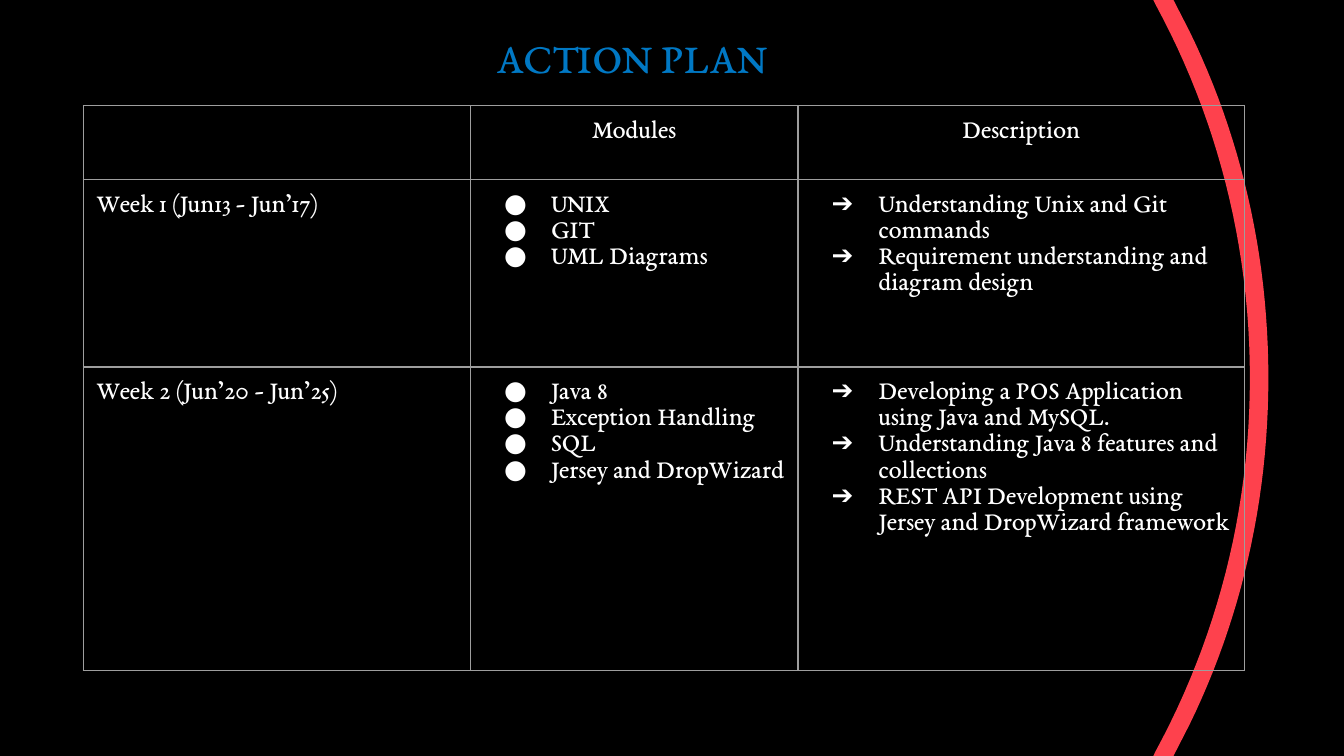
from dataclasses import dataclass
from typing import Optional

from lxml.etree import SubElement
from pptx import Presentation
from pptx.dml.color import RGBColor as RGB
from pptx.enum.text import PP_ALIGN as Align
from pptx.oxml.ns import qn
from pptx.util import Emu, Pt

SCALE = 5715


def px(n: float) -> Emu:
    return Emu(round(n * SCALE))


@dataclass(frozen=True)
class Theme:
    font: str = "EB Garamond"
    background: str = "000000"
    arc: str = "FE414D"
    title: str = "0078C4"
    body: str = "FFFFFF"
    border: str = "9E9E9E"
    title_size: int = 23
    body_size: int = 14
    border_width: float = 0.75


@dataclass(frozen=True)
class Cell:
    lines: tuple[str, ...] = ()
    align: Align = Align.LEFT
    bullet: Optional[str] = None


THEME = Theme()
WIDTH, HEIGHT = 1600, 900
MARGIN = 16
COLUMNS = (461, 390, 532)
ROWS = (88, 223, 361)
OUTER = ((1416, 37), (1477, 162), (1510, 302), (1510, 450))
INNER = ((1376, 6), (1448, 139), (1488, 290), (1488, 450))
GRID = (
    (Cell(), Cell(("Modules",), Align.CENTER), Cell(("Description",), Align.CENTER)),
    (
        Cell(("Week 1 (Jun13 - Jun’17)",)),
        Cell(("UNIX", "GIT", "UML Diagrams"), bullet="●"),
        Cell(("Understanding Unix and Git commands",
              "Requirement understanding and diagram design"), bullet="➔"),
    ),
    (
        Cell(("Week 2 (Jun’20 - Jun’25)",)),
        Cell(("Java 8", "Exception Handling", "SQL", "Jersey and DropWizard"), bullet="●"),
        Cell(("Developing a POS Application using Java and MySQL.",
              "Understanding Java 8 features and collections",
              "REST API Development using Jersey and DropWizard framework"), bullet="➔"),
    ),
)


def add_bullet(p, char: str, size: int, color: str) -> None:
    pPr = p._p.get_or_add_pPr()
    pPr.set("marL", str(px(80)))
    pPr.set("indent", str(px(-56)))
    SubElement(SubElement(pPr, qn("a:buClr")), qn("a:srgbClr"), val=color)
    SubElement(pPr, qn("a:buSzPts"), val=str(size * 100))
    SubElement(pPr, qn("a:buFont"), typeface=THEME.font)
    SubElement(pPr, qn("a:buChar"), char=char)


def write(tf, lines: tuple[str, ...], *, size: int, color: str,
          align: Align = Align.LEFT, bullet: Optional[str] = None) -> None:
    tf.word_wrap = True
    for i, line in enumerate(lines):
        p = tf.add_paragraph() if i else tf.paragraphs[0]
        p.alignment = align
        if bullet:
            add_bullet(p, bullet, size, color)
        r = p.add_run()
        r.text = line
        r.font.name = THEME.font
        r.font.size = Pt(size)
        r.font.color.rgb = RGB.from_string(color)


def bezier(points: tuple[tuple[int, int], ...], steps: int = 24) -> list[tuple[float, float]]:
    a, b, c, d = points
    ts = [i / steps for i in range(steps + 1)]
    return [
        tuple((1 - t) ** 3 * a[k] + 3 * (1 - t) ** 2 * t * b[k]
              + 3 * (1 - t) * t ** 2 * c[k] + t ** 3 * d[k] for k in (0, 1))
        for t in ts
    ]


def mirrored(half: list[tuple[float, float]]) -> list[tuple[float, float]]:
    return half + [(x, HEIGHT - y) for x, y in half[-2::-1]]


def add_arc(s) -> None:
    outer = mirrored([(1397, 0)] + bezier(OUTER))
    inner = mirrored([(1373, 0)] + bezier(INNER))
    outline = [(px(x), px(y)) for x, y in outer + inner[::-1]]
    fb = s.shapes.build_freeform(*outline[0])
    fb.add_line_segments(outline[1:], close=True)
    sp = fb.convert_to_shape()
    sp.shadow.inherit = False
    sp.fill.solid()
    sp.fill.fore_color.rgb = RGB.from_string(THEME.arc)
    sp.line.fill.background()


def set_borders(cell) -> None:
    tcPr = cell._tc.get_or_add_tcPr()
    for i, side in enumerate(("lnL", "lnR", "lnT", "lnB")):
        ln = tcPr.makeelement(qn(f"a:{side}"), {"w": str(Pt(THEME.border_width))})
        SubElement(SubElement(ln, qn("a:solidFill")), qn("a:srgbClr"), val=THEME.border)
        tcPr.insert(i, ln)


def add_plan(s, left: int, top: int) -> None:
    table = s.shapes.add_table(len(ROWS), len(COLUMNS), px(left), px(top),
                               px(sum(COLUMNS)), px(sum(ROWS))).table
    table.first_row = table.horz_banding = False
    for column, width in zip(table.columns, COLUMNS):
        column.width = px(width)
    for row, height, cells in zip(table.rows, ROWS, GRID):
        row.height = px(height)
        for cell, content in zip(row.cells, cells):
            cell.fill.background()
            cell.margin_left = cell.margin_right = px(MARGIN)
            cell.margin_top = cell.margin_bottom = px(MARGIN)
            set_borders(cell)
            write(cell.text_frame, content.lines, size=THEME.body_size, color=THEME.body,
                  align=content.align, bullet=content.bullet)


def add_title(s, text: str) -> None:
    tf = s.shapes.add_textbox(px(490), px(21), px(525), px(94)).text_frame
    tf.margin_left = tf.margin_right = tf.margin_top = tf.margin_bottom = px(MARGIN)
    write(tf, (text,), size=THEME.title_size, color=THEME.title, align=Align.CENTER)


def main() -> None:
    prs = Presentation()
    prs.slide_width, prs.slide_height = px(WIDTH), px(HEIGHT)
    s = prs.slides.add_slide(prs.slide_layouts[6])
    s.background.fill.solid()
    s.background.fill.fore_color.rgb = RGB.from_string(THEME.background)
    add_arc(s)
    add_plan(s, 99, 126)
    add_title(s, "ACTION PLAN")
    prs.save("out.pptx")


if __name__ == "__main__":
    main()
